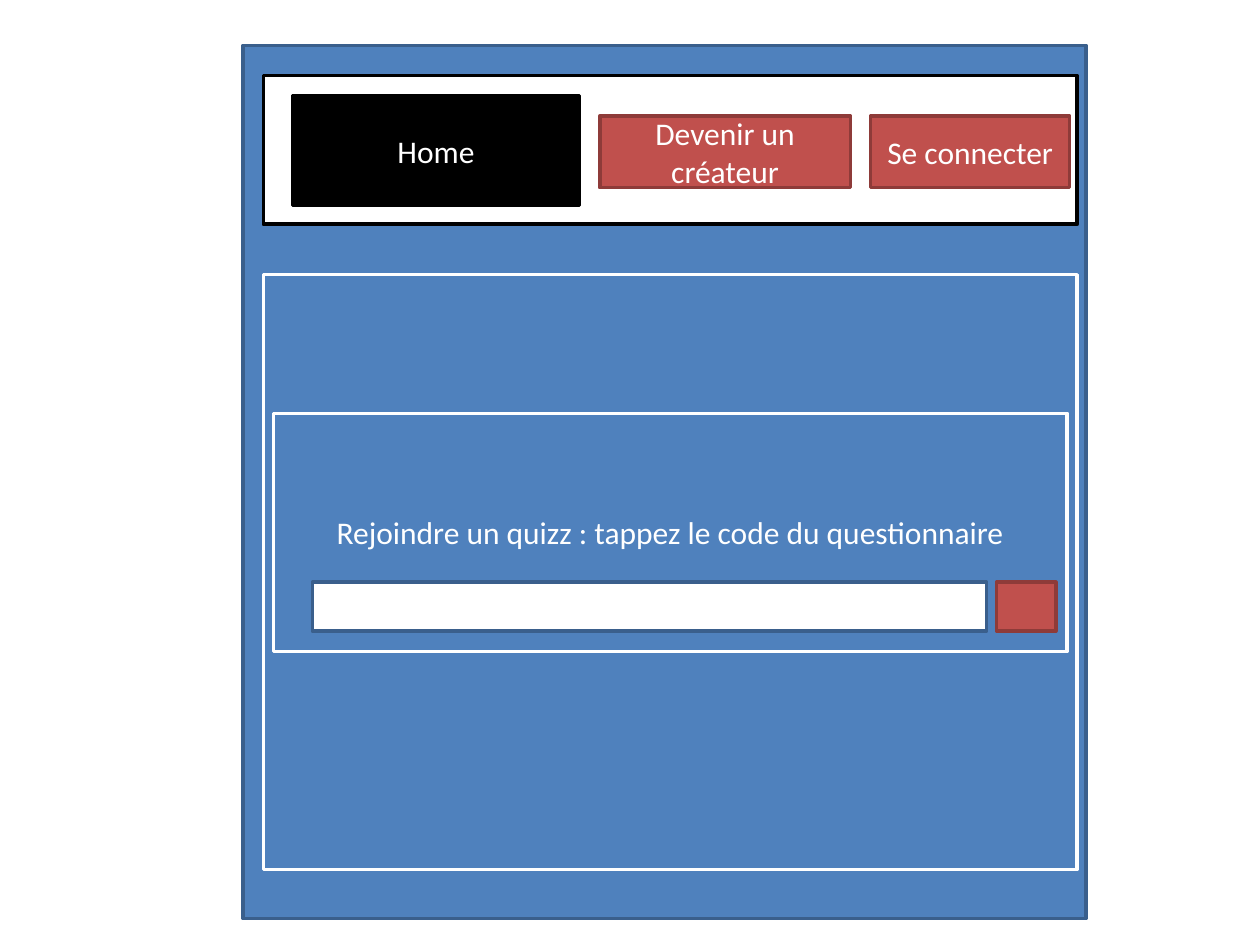
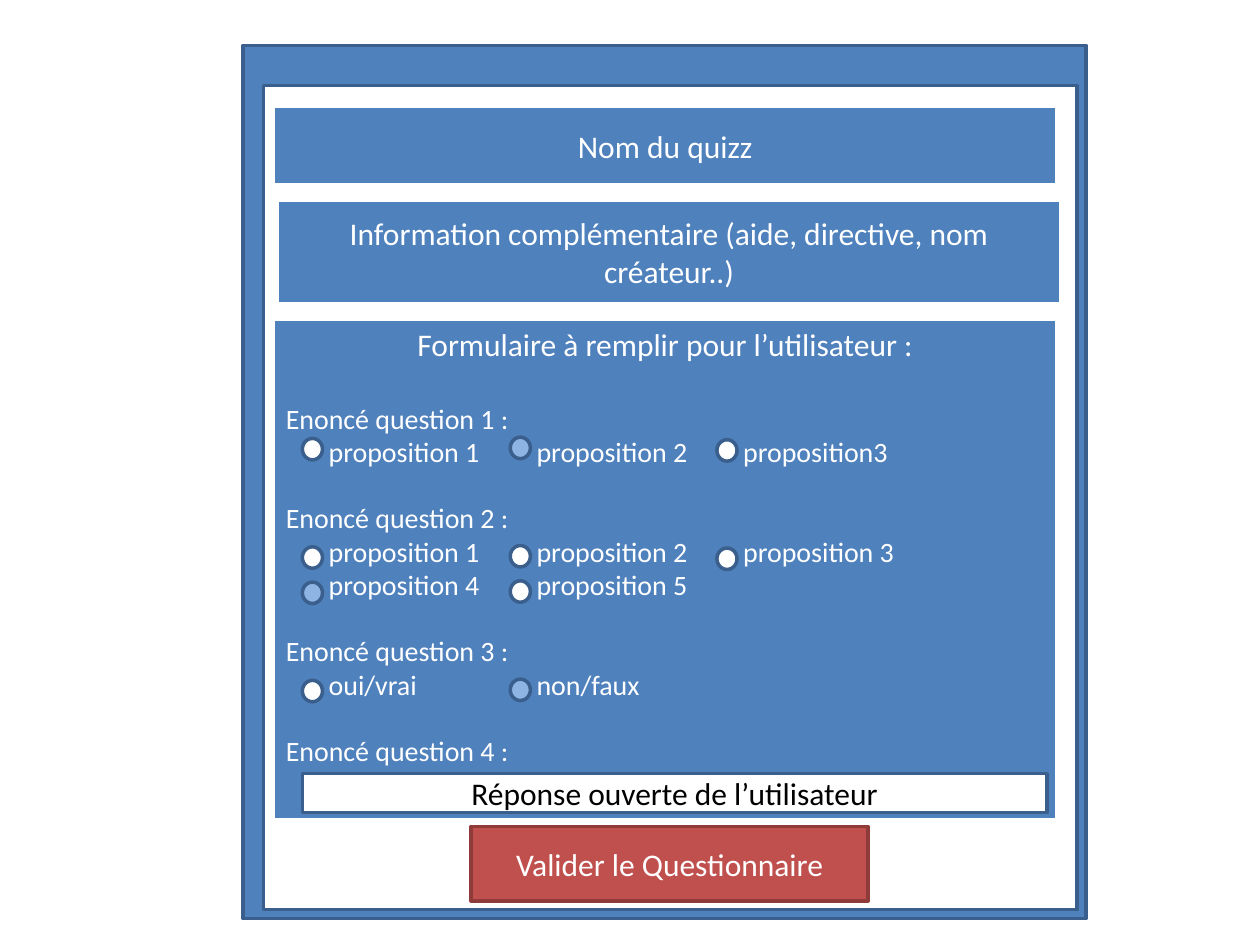
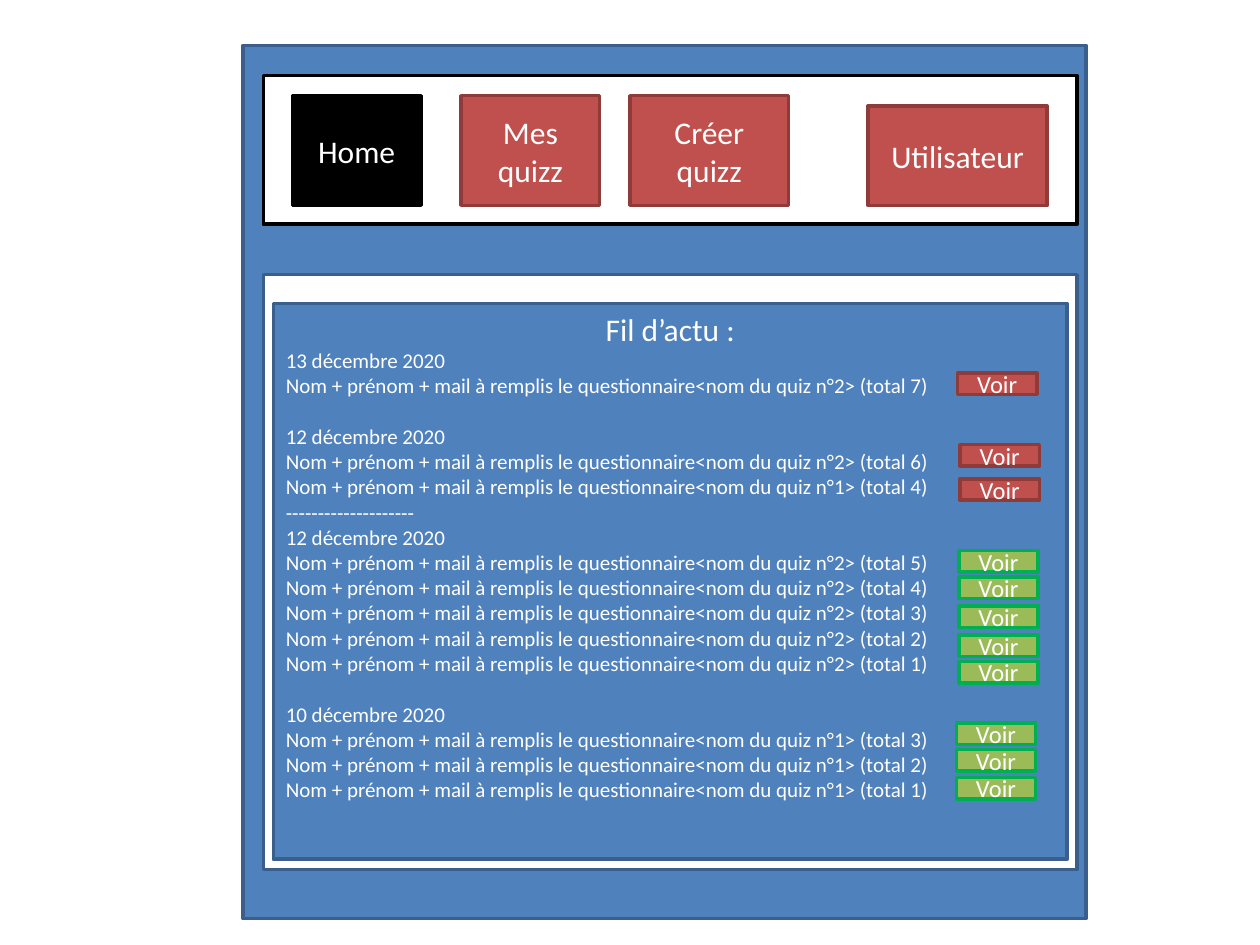
from dataclasses import dataclass

from lxml import etree
from pptx import Presentation
from pptx import util as u
from pptx.dml.color import RGBColor
from pptx.enum import shapes, text
from pptx.oxml import ns


@dataclass(frozen=True)
class Theme:
    font: str = "Calibri"
    blue: str = "4F81BD"
    blue_edge: str = "3A5F8C"
    chosen: str = "8EB4E3"
    red: str = "C0504D"
    red_edge: str = "8E3B39"
    green: str = "9BBB59"
    green_edge: str = "00B050"
    white: str = "FFFFFF"
    black: str = "000000"
    heading: int = 18
    question: int = 16
    button: int = 14
    feed: int = 12
    edge: int = 2
    line_height: float = 1.22


THEME = Theme()
RED = (THEME.red, THEME.red_edge)
GREEN = (THEME.green, THEME.green_edge)
BLUE = (THEME.blue, THEME.blue_edge)
BLUE_WHITE = (THEME.blue, THEME.white)
WHITE_BLUE = (THEME.white, THEME.blue_edge)
WHITE_BLACK = (THEME.white, THEME.black)
BLACK = (THEME.black, THEME.black)


@dataclass(frozen=True)
class Box:
    left: float
    top: float
    width: float
    height: float

    def inside(self, left, top, width, height):
        """Box whose corner is measured from the corner of this one."""
        return Box(self.left + left, self.top + top, width, height)


WINDOW = Box(1.93, 0.36, 6.69, 6.93)
HEADER = WINDOW.inside(0.16, 0.24, 6.46, 1.18)
CONTENT = WINDOW.inside(0.16, 1.82, 6.46, 4.72)


def write(shape, words, size=THEME.heading, color=THEME.white,
          align=text.PP_ALIGN.CENTER, gap=0, tabs=()):
    """Add one paragraph; gap is the space before it, in lines of its size."""
    frame = shape.text_frame
    para = frame.paragraphs[0]
    if para.runs:
        para = frame.add_paragraph()
    para.alignment = align
    if gap:
        para.space_before = u.Pt(round(gap * size * THEME.line_height, 1))
    if tabs:
        stops = etree.SubElement(para._p.get_or_add_pPr(), ns.qn("a:tabLst"))
        for stop in tabs:
            etree.SubElement(stops, ns.qn("a:tab"),
                             pos=str(u.Inches(stop)), algn="l")
    span = para.add_run()
    span.text = words
    span.font.name = THEME.font
    span.font.size = u.Pt(size)
    span.font.color.rgb = RGBColor.from_string(color)


def draw(parent, box, style, words="", kind=shapes.MSO_SHAPE.RECTANGLE,
         anchor=text.MSO_ANCHOR.MIDDLE, **text_format):
    """Add a filled, outlined shape with optional text."""
    shape = parent.shapes.add_shape(
        kind, *(u.Inches(n) for n in (box.left, box.top, box.width, box.height)))
    fill, edge = style
    shape.shadow.inherit = False
    shape.fill.solid()
    shape.fill.fore_color.rgb = RGBColor.from_string(fill)
    shape.line.color.rgb = RGBColor.from_string(edge)
    shape.line.width = u.Pt(THEME.edge)
    shape.text_frame.word_wrap = True
    shape.text_frame.vertical_anchor = anchor
    if words:
        write(shape, words, **text_format)
    return shape


def add_page(deck):
    """Blank slide with the blue application window."""
    page = deck.slides.add_slide(deck.slide_layouts[6])
    draw(page, WINDOW, BLUE)
    return page


def draw_header(page, box, buttons):
    """White navigation bar; each button is words, style and place."""
    draw(page, box, WHITE_BLACK)
    for words, style, *place in buttons:
        draw(page, box.inside(*place), style, words)


# Home page: join a quiz with a code
def draw_join(page, box):
    draw(page, box, BLUE_WHITE)
    panel = box.inside(0.08, 1.10, 6.30, 1.89)
    draw(page, panel, BLUE_WHITE,
         "Rejoindre un quizz : tappez le code du questionnaire")
    draw(page, panel.inside(0.31, 1.34, 5.35, 0.39), WHITE_BLUE)
    draw(page, panel.inside(5.74, 1.34, 0.47, 0.39), RED)


# Questionnaire page
CHOICE_LEFTS = (0.23, 1.88, 3.52)
CHOICE_DROPS = (0, -0.01, 0.01)
CHOICE_TABS = [left + 0.11 for left in CHOICE_LEFTS]
QUESTION_GAP = 0.95

# Each question: rows of (top of the circles, chosen column, labels)
QUESTIONS = (
    ((0.95, 1, ("proposition 1", "proposition 2", "proposition3")),),
    ((1.81, None, ("proposition 1", "proposition 2", "proposition 3")),
     (2.09, 0, ("proposition 4", "proposition 5"))),
    ((2.87, 1, ("oui/vrai", "non/faux")),),
    (),
)


def draw_choices(page, box, top, chosen, count):
    """Grouped row of radio buttons."""
    group = page.shapes.add_group_shape()
    for column in range(count):
        fill = THEME.chosen if column == chosen else THEME.white
        place = box.inside(CHOICE_LEFTS[column], top + CHOICE_DROPS[column],
                           0.16, 0.17)
        draw(group, place, (fill, THEME.blue_edge),
             kind=shapes.MSO_SHAPE.OVAL)


def draw_form(page, box):
    form = draw(page, box, BLUE_WHITE,
                "Formulaire à remplir pour l’utilisateur :",
                anchor=text.MSO_ANCHOR.TOP)
    line = dict(size=THEME.question, align=text.PP_ALIGN.LEFT)
    for number, rows in enumerate(QUESTIONS, 1):
        # The first gap is one line of the larger heading
        gap = THEME.heading / THEME.question if number == 1 else QUESTION_GAP
        write(form, f"Enoncé question {number} :", gap=gap, **line)
        for top, chosen, labels in rows:
            write(form, "".join("\t" + label for label in labels),
                  tabs=CHOICE_TABS, **line)
            draw_choices(page, box, top, chosen, len(labels))
    # Open answer, just below the last question
    draw(page, box.inside(0.23, 3.61, 5.91, 0.31), WHITE_BLUE,
         "Réponse ouverte de l’utilisateur", color=THEME.black)


def draw_questionnaire(page, box):
    draw(page, box, WHITE_BLUE)
    draw(page, box.inside(0.08, 0.16, 6.22, 0.63), BLUE_WHITE, "Nom du quizz")
    draw(page, box.inside(0.11, 0.91, 6.22, 0.82), BLUE_WHITE,
         "Information complémentaire (aide, directive, nom créateur..)")
    draw(page, box.inside(1.65, 5.88, 3.15, 0.59), RED,
         "Valider le Questionnaire")
    draw_form(page, box.inside(0.08, 1.85, 6.22, 3.98))


# Creator page: news feed
# Each day: date, gap, button style and left, then (quiz, total, button top)
UNREAD = (
    ("13 décembre 2020", 0, RED, 5.43, ((2, 7, 0.55),)),
    ("12 décembre 2020", 1, RED, 5.45, ((2, 6, 1.12), (1, 4, 1.39))),
)
READ = (
    ("12 décembre 2020", 0, GREEN, 5.44,
     ((2, 5, 1.96), (2, 4, 2.17), (2, 3, 2.40), (2, 2, 2.63), (2, 1, 2.84))),
    ("10 décembre 2020", 1, GREEN, 5.42,
     ((1, 3, 3.33), (1, 2, 3.54), (1, 1, 3.76))),
)


def draw_feed(page, box):
    draw(page, box, WHITE_BLUE)
    panel = box.inside(0.08, 0.23, 6.30, 4.41)
    feed = draw(page, panel, BLUE, "Fil d’actu :", anchor=text.MSO_ANCHOR.TOP)
    line = dict(size=THEME.feed, align=text.PP_ALIGN.LEFT)

    def list_days(days):
        for date, gap, style, left, entries in days:
            write(feed, date, gap=gap, **line)
            for quiz, total, top in entries:
                write(feed, "Nom + prénom + mail à remplis le questionnaire"
                      f"<nom du quiz n°{quiz}> (total {total})", **line)
                draw(page, panel.inside(left, top, 0.63, 0.17), style,
                     "Voir", size=THEME.button)

    list_days(UNREAD)
    write(feed, "-" * 20, **line)
    list_days(READ)


deck = Presentation()
deck.slide_width, deck.slide_height = u.Inches(10), u.Inches(7.5)

home = add_page(deck)
draw_header(home, HEADER, (
    ("Home", BLACK, 0.23, 0.16, 2.28, 0.87),
    ("Devenir un créateur", RED, 2.67, 0.32, 1.99, 0.57),
    ("Se connecter", RED, 4.82, 0.32, 1.58, 0.57),
))
draw_join(home, CONTENT)

questionnaire = add_page(deck)
draw_questionnaire(questionnaire, WINDOW.inside(0.16, 0.32, 6.46, 6.54))

creator = add_page(deck)
draw_header(creator, HEADER, (
    ("Home", BLACK, 0.23, 0.16, 1.02, 0.87),
    ("Mes quizz", RED, 1.57, 0.16, 1.10, 0.87),
    ("Créer quizz", RED, 2.91, 0.16, 1.26, 0.87),
    ("Utilisateur", RED, 4.80, 0.24, 1.42, 0.79),
))
draw_feed(creator, CONTENT)

deck.save("out.pptx")
